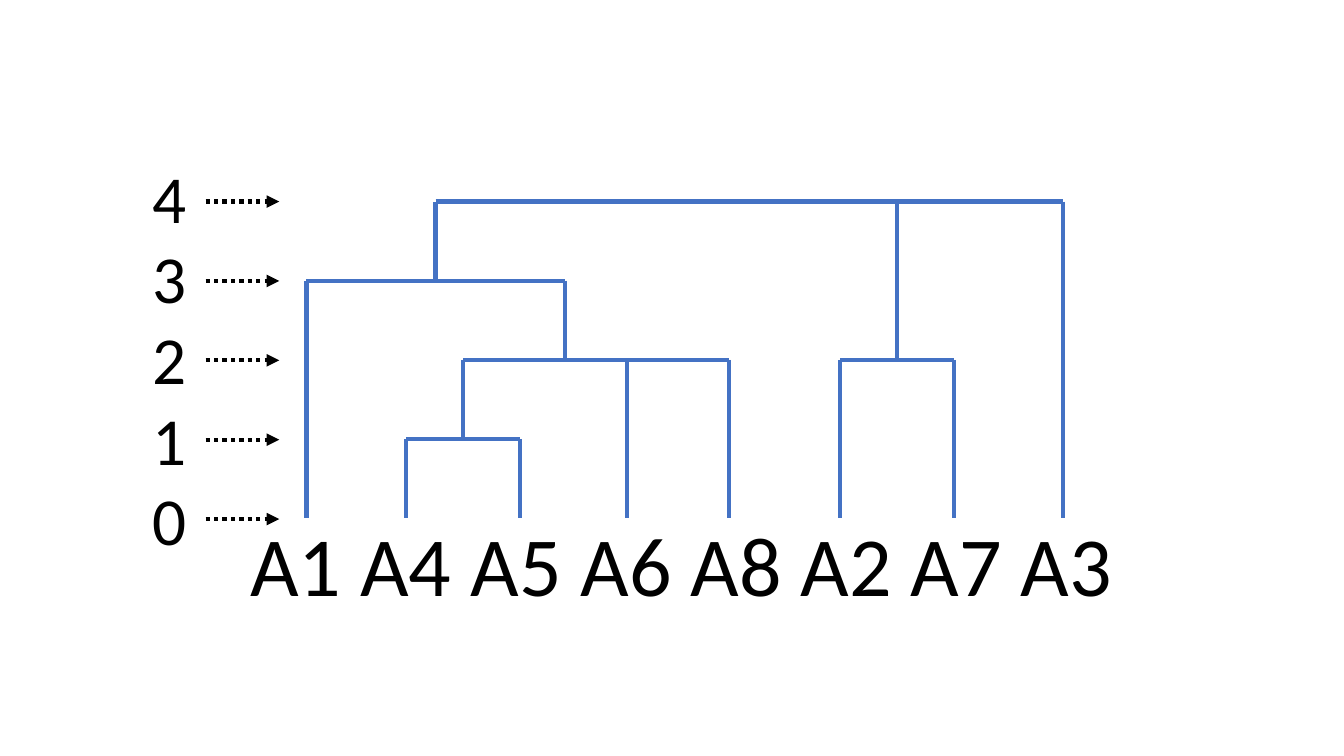
from collections import namedtuple
from dataclasses import dataclass

from pptx import Presentation
from pptx.dml.color import RGBColor as Rgb
from pptx.enum.dml import MSO_LINE as Dash
from pptx.enum.shapes import MSO_CONNECTOR as Link
from pptx.enum.text import MSO_ANCHOR as Anchor, MSO_AUTO_SIZE as Fit, PP_ALIGN as Align
from pptx.oxml.ns import qn
from pptx.util import Inches, Pt
from lxml.etree import SubElement as Sub

Box = namedtuple("Box", "left top width height")


@dataclass(frozen=True)
class Theme:
    """Colours, font and sizes of the slide."""
    ink: Rgb = Rgb(0, 0, 0)
    branch: Rgb = Rgb(0x44, 0x72, 0xC4)
    font: str = "Calibri"
    title: int = 60
    scale: int = 48
    line: int = 3


THEME = Theme()
TOP = 4
COLS = 75
LEAVES = {"A1": 0, "A4": 9.9, "A5": 21.2, "A6": 31.8,
          "A8": 41.9, "A2": 52.9, "A7": 64.2, "A3": 75}
MERGES = [
    ("A45", 1, ["A4", "A5"], None),
    ("A4568", 2, ["A45", "A6", "A8"], 25.6),
    ("A27", 2, ["A2", "A7"], None),
    ("A14568", 3, ["A1", "A4568"], None),
    ("All", 4, ["A14568", "A27", "A3"], None),
]


def rule(slide, start, end, color):
    """Draw a straight line without shadow and return it."""
    ends = [Inches(n) for n in (*start, *end)]
    link = slide.shapes.add_connector(Link.STRAIGHT, *ends)
    link.line.color.rgb = color
    link.line.width = Pt(THEME.line)
    Sub(link._element.spPr, qn("a:effectLst"))
    return link


def style(frame, size):
    """Format every run of a text frame."""
    for para in frame.paragraphs:
        for run in para.runs:
            run.font.name = THEME.font
            run.font.size = Pt(size)
            run.font.color.rgb = THEME.ink


def place(shape, box):
    """Move a shape into a box."""
    shape.left, shape.top, shape.width, shape.height = map(Inches, box)


def title(slide, box):
    """Write the leaf names as the slide title."""
    shape = slide.shapes.title
    place(shape, box)
    frame = shape.text_frame
    frame.text = " ".join(LEAVES)
    frame.auto_size = Fit.NONE
    frame.vertical_anchor = Anchor.BOTTOM
    para = frame.paragraphs[0]
    para.alignment = Align.CENTER
    para.line_spacing = 0.9
    style(frame, THEME.title)


def tree(slide, box):
    """Draw the dendrogram, with leaves on the box's lower edge."""
    def spot(col, level):
        return (box.left + col * box.width / COLS,
                box.top + (TOP - level) * box.height / TOP)

    nodes = {name: (col, 0) for name, col in LEAVES.items()}
    for name, level, kids, stem in MERGES:
        cols = [nodes[kid][0] for kid in kids]
        for kid in kids:
            col, base = nodes[kid]
            rule(slide, spot(col, level), spot(col, base), THEME.branch)
        rule(slide, spot(cols[0], level), spot(cols[-1], level), THEME.branch)
        mid = (cols[0] + cols[-1]) / 2 if stem is None else stem
        nodes[name] = (mid, level)


def scale(slide, box):
    """Write the level numbers in one column."""
    shape = slide.shapes.add_textbox(*map(Inches, box))
    frame = shape.text_frame
    frame.text = "\n".join(str(n) for n in range(TOP, -1, -1))
    frame.word_wrap = False
    style(frame, THEME.scale)


def arrows(slide, box):
    """Draw one dotted arrow for each level."""
    for row in range(TOP + 1):
        y = box.top + row * box.height / TOP
        link = rule(slide, (box.left, y), (box.left + box.width, y), THEME.ink)
        link.line.dash_style = Dash.ROUND_DOT
        Sub(link.line._get_or_add_ln(), qn("a:tailEnd"), type="triangle")


def main():
    """Build and save the slide."""
    deck = Presentation()
    deck.slide_width, deck.slide_height = Inches(13.33), Inches(7.5)
    slide = deck.slides.add_slide(deck.slide_layouts[5])
    title(slide, Box(1.76, 5.03, 10, 1.12))
    tree(slide, Box(3.04, 2, 7.5, 3.14))
    scale(slide, Box(1.41, 1.5, 0.54, 4.14))
    arrows(slide, Box(2.04, 2, 0.73, 3.15))
    deck.save("out.pptx")


if __name__ == "__main__":
    main()
